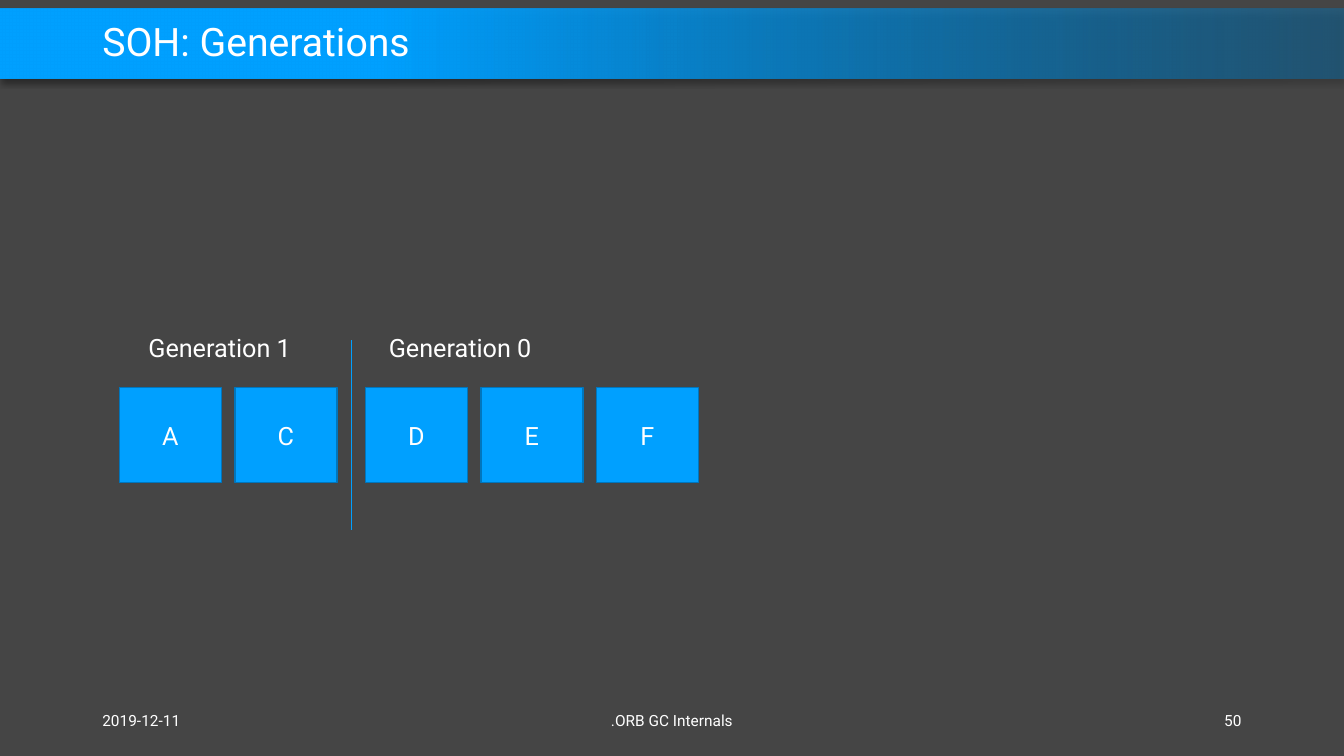
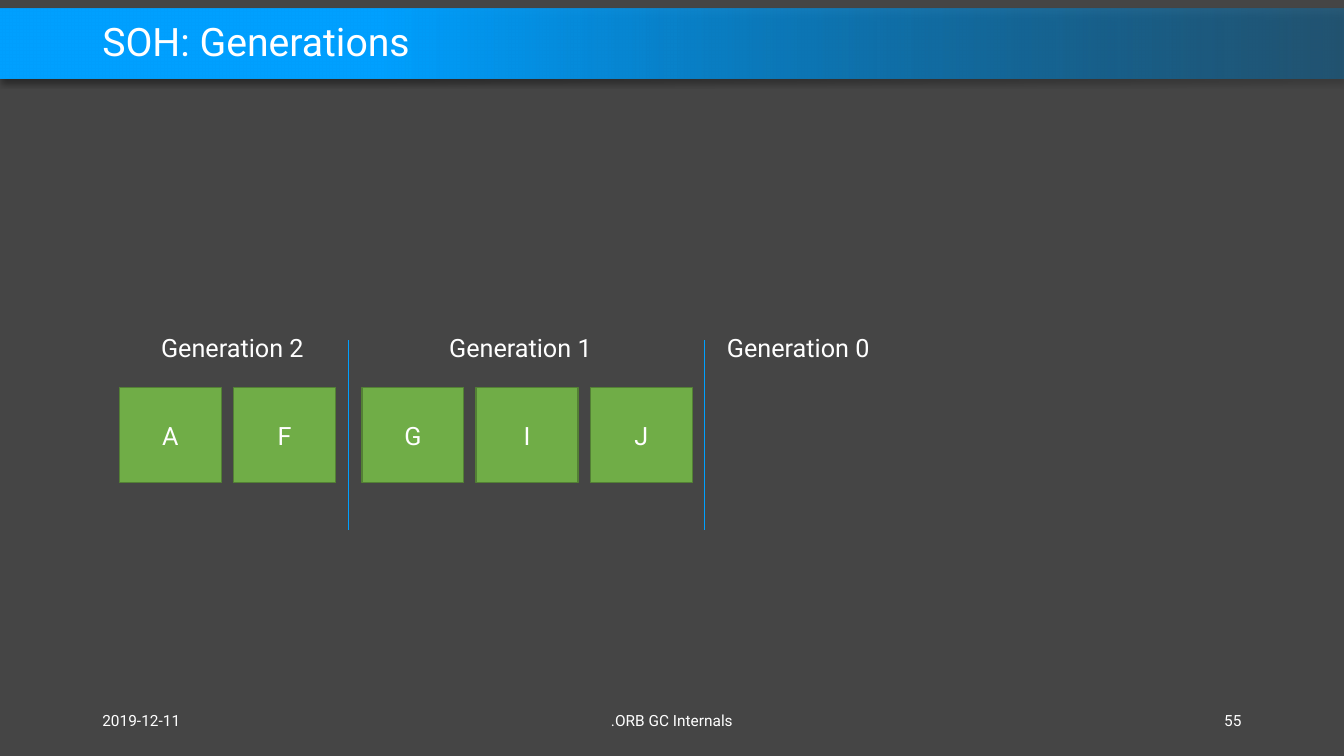
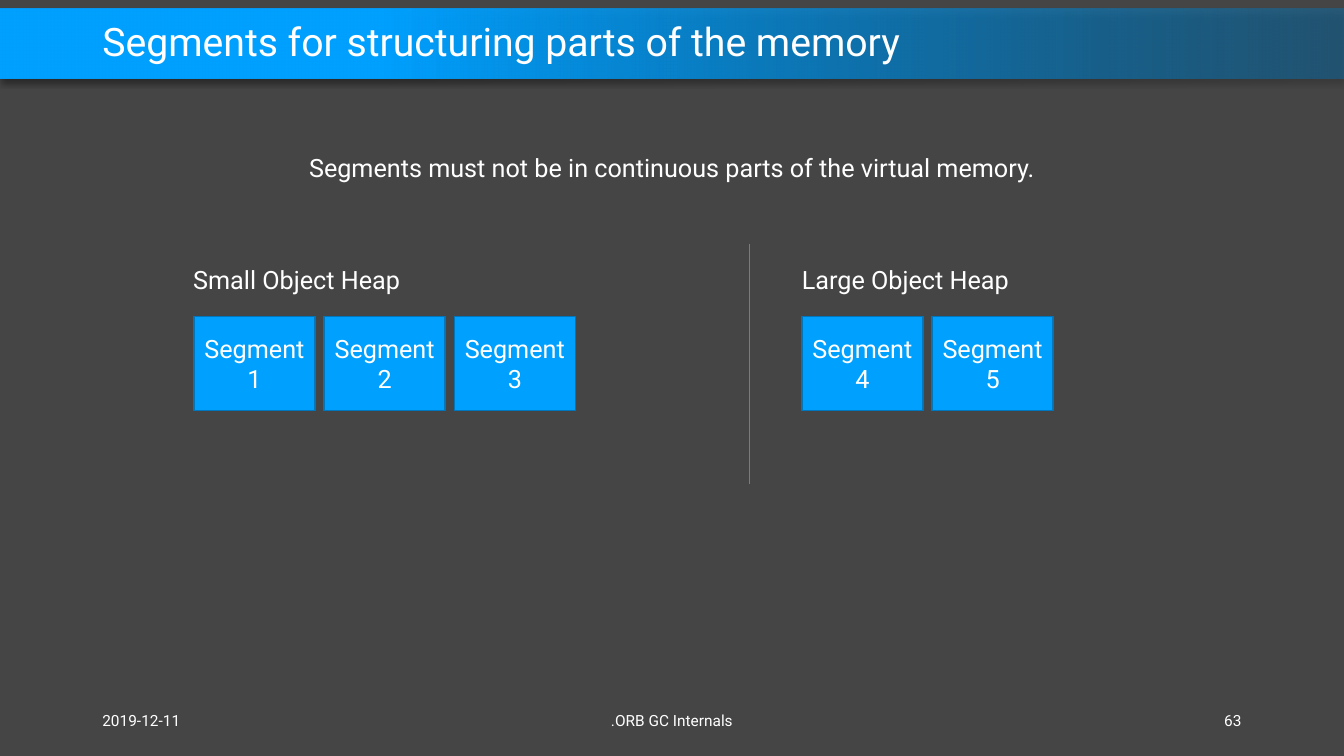
from lxml import etree
from pptx import Presentation
from pptx.dml.color import RGBColor
from pptx.enum.shapes import MSO_CONNECTOR as Connector, MSO_SHAPE as Shape
from pptx.enum.text import MSO_ANCHOR as Anchor, MSO_AUTO_SIZE as AutoSize, PP_ALIGN as Align
from pptx.oxml.ns import qn
from pptx.util import Cm, Pt

# Shared look
FONT, WHITE, BACKGROUND = "Roboto", "FFFFFF", "454545"
BLUE, DEEP_BLUE, BAND_END = "00A0FF", "0076BD", "0078BF"
GREEN, DEEP_GREEN = "70AD47", "538035"
WIDTH, HEIGHT = 33.87, 19.05
MARGIN, FOOTER_TOP, FOOTER_HEIGHT = 2.33, 17.65, 1.02
DATE, TALK = "2019-12-11", ".ORB GC Internals"

# Heap layouts in cm: object size and top, label top, divider ends
GENERATIONS = {"size": (2.57, 2.39), "top": 9.77, "label_top": 8.26,
               "label_width": 4.17, "divider": (8.58, 13.36)}
SEGMENTS = {"size": (3.05, 2.36), "top": 7.98, "label_top": 6.54,
            "label_width": 5.77, "divider": (6.15, 12.19)}

# Groups: label, label left, first object left, objects
SLIDES = [
    {"title": "SOH: Generations", "number": "50", "layout": GENERATIONS,
     "colors": (BLUE, DEEP_BLUE), "pitch": 2.91, "dividers": [8.86],
     "groups": [("Generation 1", 3.49, 3.01, ["A", "C"]),
                ("Generation 0", 9.55, 9.21, ["D", "E", "F"])]},
    {"title": "SOH: Generations", "number": "55", "layout": GENERATIONS,
     "colors": (GREEN, DEEP_GREEN), "pitch": 2.88, "dividers": [8.79, 17.75],
     "groups": [("Generation 2", 3.81, 3.01, ["A", "F"]),
                ("Generation 1", 11.07, 9.12, ["G", "I", "J"]),
                ("Generation 0", 18.07, 18.07, [])]},
    {"title": "Segments for structuring parts of the memory", "number": "63",
     "layout": SEGMENTS, "colors": (BLUE, DEEP_BLUE), "pitch": 3.28, "dividers": [18.89],
     "statement": ("Segments must not be in continuous parts of the virtual memory.",
                   7.54, 3.71, 18.8),
     "groups": [("Small Object Heap", 4.62, 4.89, ["Segment 1", "Segment 2", "Segment 3"]),
                ("Large Object Heap", 19.96, 20.21, ["Segment 4", "Segment 5"])]},
]


def rgb(color):
    return RGBColor.from_string(color)


def assign(target, values):
    for name, value in values.items():
        setattr(target, name, value)


def write(shape, text, size=18, align=Align.LEFT, spacing=None, **frame_format):
    frame = shape.text_frame
    assign(frame, {"word_wrap": True, "vertical_anchor": Anchor.MIDDLE} | frame_format)
    paragraph = frame.paragraphs[0]
    assign(paragraph, {"text": text, "alignment": align, "line_spacing": spacing})
    font = paragraph.runs[0].font
    assign(font, {"name": FONT, "size": Pt(size)})
    font.color.rgb = rgb(WHITE)


def add_text(slide, text, left, top, width, height, **style):
    box = slide.shapes.add_textbox(Cm(left), Cm(top), Cm(width), Cm(height))
    write(box, text, **style)


def add_label(slide, text, left, top, width):
    add_text(slide, text, left, top, width, 1.02, word_wrap=False,
             vertical_anchor=Anchor.TOP, auto_size=AutoSize.SHAPE_TO_FIT_TEXT)


def add_rectangle(slide, left, top, width, height):
    rectangle = slide.shapes.add_shape(Shape.RECTANGLE, Cm(left), Cm(top), Cm(width), Cm(height))
    rectangle.shadow.inherit = False
    return rectangle


def add_object(slide, text, left, top, size, colors):
    block = add_rectangle(slide, left, top, *size)
    fill, line = colors
    block.fill.solid()
    block.fill.fore_color.rgb = rgb(fill)
    block.line.color.rgb = rgb(line)
    block.line.width = Pt(1)
    write(block, text, align=Align.CENTER)


def add_divider(slide, x, top, bottom):
    divider = slide.shapes.add_connector(Connector.STRAIGHT, Cm(x), Cm(top), Cm(x), Cm(bottom))
    divider.line.color.rgb = rgb(BLUE)
    divider.line.width = Pt(0.5)
    etree.SubElement(divider._element.spPr, qn("a:effectLst"))


def set_alpha(color, percent):
    etree.SubElement(color, qn("a:alpha"), val=str(percent * 1000))


def add_band(slide):
    band = add_rectangle(slide, 0, 0.21, WIDTH, 1.78)
    band.line.fill.background()
    band.fill.gradient()
    band.fill.gradient_angle = 180
    for stop, position, color in zip(band.fill.gradient_stops, (0, 0.72), (BAND_END, BLUE)):
        stop.position = position
        stop.color.rgb = rgb(color)
    properties = band._element.spPr
    set_alpha(properties.find(".//" + qn("a:srgbClr")), 40)
    # Soft shadow below the band
    shadow = etree.SubElement(properties.find(qn("a:effectLst")), qn("a:outerShdw"),
                              blurRad=str(Pt(4)), dist=str(Pt(3)), dir="5400000",
                              algn="t", rotWithShape="0")
    set_alpha(etree.SubElement(shadow, qn("a:srgbClr"), val="000000"), 40)


def add_frame(slide, title, number):
    add_band(slide)
    add_text(slide, title, MARGIN, 0.41, WIDTH - 2 * MARGIN, 1.4, size=28, spacing=0.9)
    footers = [(DATE, MARGIN, 7.62, Align.LEFT),
               (TALK, (WIDTH - 11.43) / 2, 11.43, Align.CENTER),
               (number, WIDTH - MARGIN - 7.62, 7.62, Align.RIGHT)]
    for text, left, width, align in footers:
        add_text(slide, text, left, FOOTER_TOP, width, FOOTER_HEIGHT, size=11, align=align)


def add_heap(slide, content):
    layout = content["layout"]
    for x in content["dividers"]:
        add_divider(slide, x, *layout["divider"])
    for label, label_left, left, objects in content["groups"]:
        add_label(slide, label, label_left, layout["label_top"], layout["label_width"])
        for i, name in enumerate(objects):
            add_object(slide, name, left + i * content["pitch"], layout["top"],
                       layout["size"], content["colors"])


def main():
    deck = Presentation()
    assign(deck, {"slide_width": Cm(WIDTH), "slide_height": Cm(HEIGHT)})
    backdrop = deck.slide_master.background.fill
    backdrop.solid()
    backdrop.fore_color.rgb = rgb(BACKGROUND)
    for content in SLIDES:
        slide = deck.slides.add_slide(deck.slide_layouts[6])
        add_frame(slide, content["title"], content["number"])
        if "statement" in content:
            add_label(slide, *content["statement"])
        add_heap(slide, content)
    deck.save("out.pptx")


if __name__ == "__main__":
    main()
